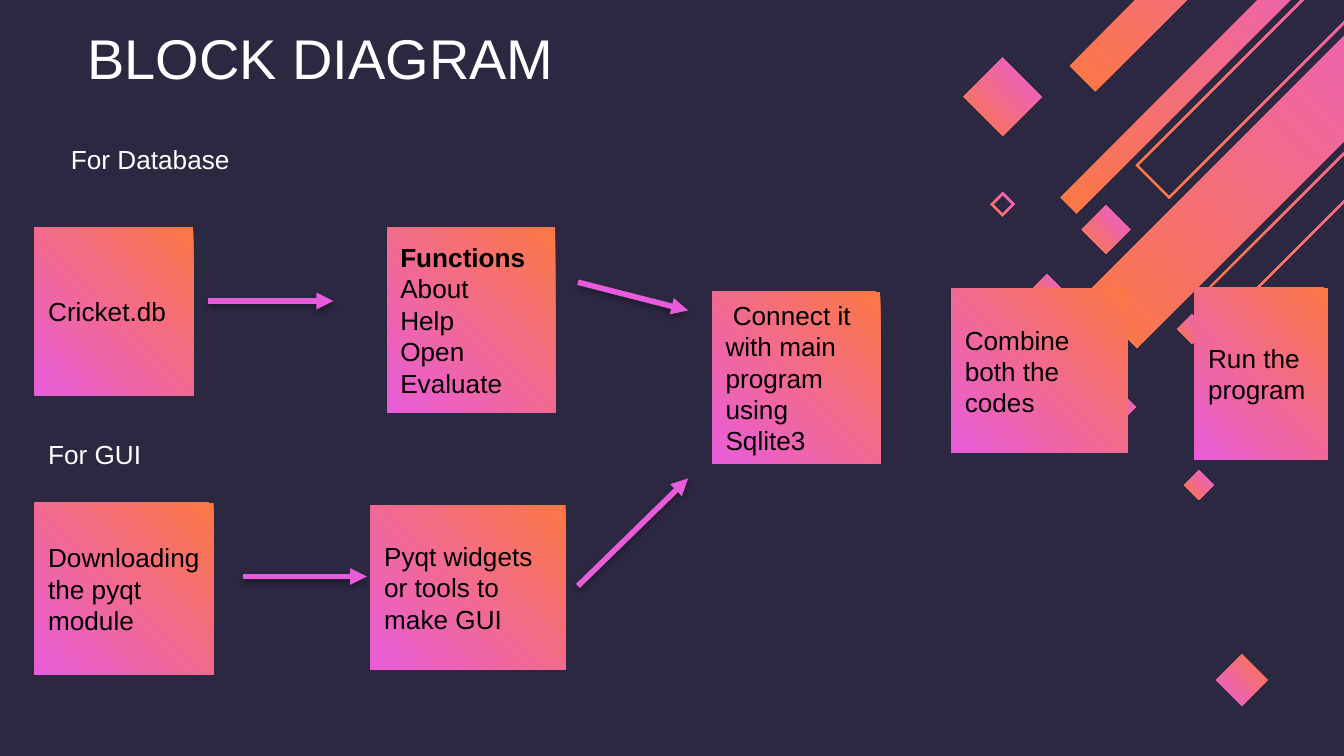
from lxml import etree
from pptx import Presentation
from pptx.dml.color import RGBColor
from pptx.enum.shapes import MSO_CONNECTOR, MSO_SHAPE
from pptx.enum.text import MSO_ANCHOR, PP_ALIGN
from pptx.oxml import parse_xml
from pptx.oxml.ns import nsdecls, qn
from pptx.util import Inches, Pt

NAVY = RGBColor(0x2D, 0x28, 0x42)
ORANGE = RGBColor(0xFB, 0x78, 0x43)
MAGENTA = RGBColor(0xE8, 0x5C, 0xDB)
WHITE = RGBColor(0xFF, 0xFF, 0xFF)
BLACK = RGBColor(0x00, 0x00, 0x00)
FONT = "Arial"

# Gradient directions, counter-clockwise from left to right
TO_LOWER_LEFT = 225
TO_UPPER_RIGHT = 45
RIM = 0.02

# Diagonal bands: bottom corner x, y, thickness, length, hollow
BANDS = [
    (8.46, 2.59, 0.39, 2.62, False),
    (8.70, 1.48, 0.25, 1.96, True),
    (8.15, 0.68, 0.19, 2.08, False),
    (8.01, 1.59, 0.12, 2.35, False),
    (9.09, 2.42, 0.19, 2.23, True),
]

# Diamonds: bottom corner x, y, half width, hollow
DIAMONDS = [
    (8.87, 2.56, 0.11, False),
    (8.26, 3.22, 0.19, False),
    (7.46, 1.61, 0.09, True),
    (7.46, 1.01, 0.29, False),
    (8.23, 1.89, 0.18, False),
    (7.79, 2.26, 0.11, False),
    (9.05, 3.25, 0.09, True),
    (8.92, 3.72, 0.11, False),
]

# Steps: left, top, width, height, heading, lines
STEPS = [
    (0.26, 1.69, 1.18, 1.25, None, ["Cricket.db"]),
    (2.88, 1.69, 1.25, 1.38, "Functions", ["About", "Help", "Open", "Evaluate"]),
    (5.30, 2.17, 1.25, 1.28, None, [" Connect it with main program using Sqlite3"]),
    (0.26, 3.74, 1.33, 1.28, None, ["Downloading the pyqt module"]),
    (2.76, 3.76, 1.45, 1.22, None, ["Pyqt widgets or tools to make GUI"]),
    (7.08, 2.15, 1.31, 1.22, None, ["Combine both the codes"]),
    (8.89, 2.14, 0.99, 1.28, None, ["Run the program"]),
]

# Arrows: start x, y, end x, y
ARROWS = [
    (1.55, 2.24, 2.48, 2.24),
    (4.30, 2.10, 5.12, 2.31),
    (1.81, 4.29, 2.73, 4.29),
    (4.30, 4.36, 5.12, 3.56),
]

# Section labels: left, top, width, text
SECTIONS = [
    (0.43, 1.02, 2.57, "For Database"),
    (0.26, 3.21, 2.47, "For GUI"),
]


def paint_gradient(shape, angle):
    shape.fill.gradient()
    shape.fill.gradient_angle = angle
    for stop, color in zip(shape.fill.gradient_stops, (ORANGE, MAGENTA)):
        stop.color.rgb = color
    shape.line.fill.background()
    shape.shadow.inherit = False


def set_margins(frame):
    frame.margin_left = frame.margin_right = Inches(0.1)
    frame.margin_top = frame.margin_bottom = Inches(0.1)
    frame.vertical_anchor = MSO_ANCHOR.MIDDLE
    frame.word_wrap = True


def add_run(paragraph, text, color, size=14, bold=False):
    paragraph.alignment = PP_ALIGN.LEFT
    run = paragraph.add_run()
    run.text = text
    run.font.name = FONT
    run.font.size = Pt(size)
    run.font.bold = bold
    run.font.color.rgb = color


def band_corners(x, y, thickness, length):
    corners = [
        (x, y),
        (x + length, y - length),
        (x + length - thickness, y - length - thickness),
        (x - thickness, y - thickness),
    ]
    return [(Inches(px), Inches(py)) for px, py in corners]


def add_band(slide, x, y, thickness, length, hollow, angle=TO_UPPER_RIGHT):
    """A rectangle turned by 45 degrees; equal sides make a diamond."""
    outer = band_corners(x, y, thickness, length)
    builder = slide.shapes.build_freeform(*outer[0])
    builder.add_line_segments(outer[1:], close=True)
    if hollow:
        # The inner outline runs the other way to cut a hole
        inner = band_corners(x, y - RIM, thickness - RIM, length - RIM)[::-1]
        builder.move_to(*inner[0])
        builder.add_line_segments(inner[1:], close=True)
    paint_gradient(builder.convert_to_shape(), angle)


def add_title(slide, text):
    title = slide.shapes.title
    title.left, title.top = Inches(0.55), Inches(0.08)
    title.width, title.height = Inches(6.74), Inches(0.69)
    set_margins(title.text_frame)
    add_run(title.text_frame.paragraphs[0], text, WHITE, size=30)


def add_step(slide, left, top, width, height, heading, lines):
    step = slide.shapes.add_shape(
        MSO_SHAPE.RECTANGLE, Inches(left), Inches(top), Inches(width), Inches(height))
    paint_gradient(step, TO_LOWER_LEFT)
    frame = step.text_frame
    set_margins(frame)
    texts = [heading] + lines if heading else lines
    for index, text in enumerate(texts):
        paragraph = frame.add_paragraph() if index else frame.paragraphs[0]
        add_run(paragraph, text, BLACK, bold=text == heading)


def add_section(slide, left, top, width, text):
    label = slide.shapes.add_textbox(
        Inches(left), Inches(top), Inches(width), Inches(0.34))
    label.text_frame.word_wrap = True
    add_run(label.text_frame.paragraphs[0], text, WHITE)


def add_arrow(slide, x1, y1, x2, y2):
    arrow = slide.shapes.add_connector(
        MSO_CONNECTOR.STRAIGHT, Inches(x1), Inches(y1), Inches(x2), Inches(y2))
    arrow.line.color.rgb = MAGENTA
    arrow.line.width = Pt(3)
    properties = arrow._element.spPr
    etree.SubElement(properties.find(qn("a:ln")), qn("a:tailEnd"), type="triangle")
    # Soft shadow straight below the line
    properties.append(parse_xml(
        f'<a:effectLst {nsdecls("a")}>'
        f'<a:outerShdw blurRad="{Pt(3.1)}" dist="{Pt(1.8)}" dir="5400000" rotWithShape="0">'
        '<a:srgbClr val="000000"><a:alpha val="35000"/></a:srgbClr>'
        '</a:outerShdw></a:effectLst>'))


def main():
    deck = Presentation()
    # Widescreen, 16 to 9
    deck.slide_width = Inches(10)
    deck.slide_height = Inches(10) * 9 // 16
    slide = deck.slides.add_slide(deck.slide_layouts[5])
    slide.background.fill.solid()
    slide.background.fill.fore_color.rgb = NAVY

    # Decoration
    add_band(slide, 9.24, 5.25, 0.19, 0.19, False, TO_LOWER_LEFT)
    for band in BANDS:
        add_band(slide, *band)
    for x, y, half, hollow in DIAMONDS:
        add_band(slide, x, y, half, half, hollow)

    # Block diagram
    add_title(slide, "BLOCK DIAGRAM")
    for step in STEPS:
        add_step(slide, *step)
    for section in SECTIONS:
        add_section(slide, *section)
    for arrow in ARROWS:
        add_arrow(slide, *arrow)

    deck.save("out.pptx")


if __name__ == "__main__":
    main()
